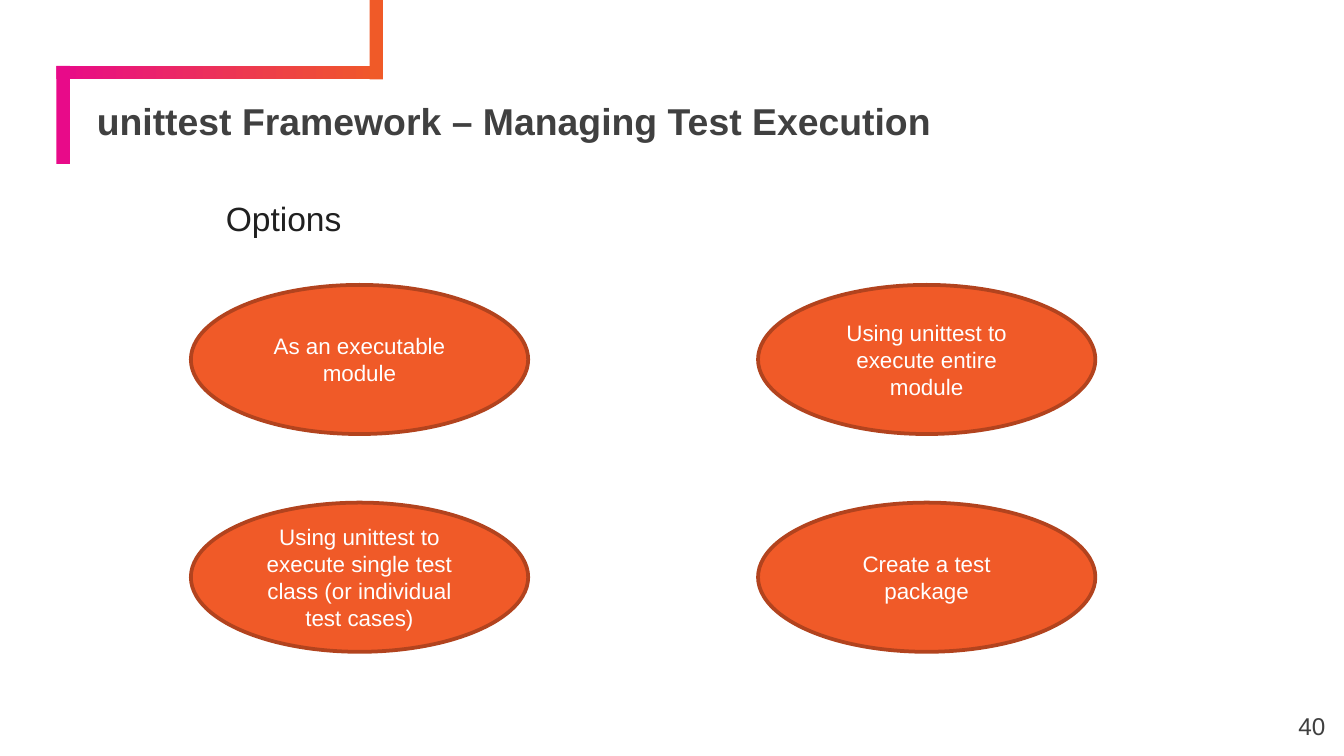
from lxml.etree import SubElement
from pptx import Presentation
from pptx.dml.color import RGBColor
from pptx.enum.shapes import MSO_SHAPE
from pptx.enum.text import MSO_ANCHOR, MSO_AUTO_SIZE, PP_ALIGN
from pptx.oxml.ns import qn
from pptx.util import Inches, Pt

CELL = 0.1  # inches per side of a square grid cell
COLUMNS, ROWS = 100, 56.25
PINK, ORANGE, RUST = "E80A89", "F05A28", "B2431E"
DARK, BLACK, WHITE = "404040", "202020", "FFFFFF"


def cells(count):
    return Inches(count * CELL)


def color(value):
    return RGBColor.from_string(value)


def apply(target, values):
    for name, value in values.items():
        setattr(target, name, value)


class SlideBuilder:
    """Holds the font and the current slide; all places are in grid cells."""

    font_name = "Arial"

    def __init__(self, page):
        self.page = page

    def place(self, shape, area):
        names = ("left", "top", "width", "height")
        apply(shape, dict(zip(names, map(cells, area))))

    def set_text(self, shape, text, size, hue, inset=1, bold=False,
                 anchor=MSO_ANCHOR.TOP, align=PP_ALIGN.LEFT, spacing=1.0, indent=0):
        frame = shape.text_frame
        frame.text = text
        apply(frame, {
            "word_wrap": True, "auto_size": MSO_AUTO_SIZE.NONE,
            "vertical_anchor": anchor,
            "margin_left": cells(inset), "margin_right": cells(inset),
            "margin_top": cells(inset), "margin_bottom": cells(inset),
        })
        para = frame.paragraphs[0]
        properties = para._p.get_or_add_pPr()
        properties.set("marL", str(cells(indent)))
        properties.set("indent", "0")
        SubElement(properties, qn("a:buNone"))
        apply(para, {"alignment": align, "line_spacing": spacing, "space_before": Pt(0)})
        font = para.runs[0].font
        apply(font, {"name": self.font_name, "size": Pt(size), "bold": bold})
        font.color.rgb = color(hue)

    def placeholder(self, index, area, text, size, hue, **style):
        box = self.page.placeholders[index]
        self.place(box, area)
        self.set_text(box, text, size, hue, **style)

    def label(self, area, text, size, hue, **style):
        box = self.page.shapes.add_textbox(*map(cells, area))
        self.set_text(box, text, size, hue, **style)

    def shape(self, kind, area, fill):
        shape = self.page.shapes.add_shape(kind, *map(cells, area))
        shape.shadow.inherit = False
        shape.fill.solid()
        shape.fill.fore_color.rgb = color(fill)
        return shape

    def bar(self, area, start, end=None):
        """Borderless bar, shaded from left to right when an end colour is given."""
        bar = self.shape(MSO_SHAPE.RECTANGLE, area, start)
        bar.line.fill.background()
        if end:
            bar.fill.gradient()
            bar.fill.gradient_angle = 0
            for stop, hue in zip(bar.fill.gradient_stops, (start, end)):
                stop.color.rgb = color(hue)

    def ellipse(self, area, text):
        ellipse = self.shape(MSO_SHAPE.OVAL, area, ORANGE)
        ellipse.line.color.rgb = color(RUST)
        ellipse.line.width = Pt(2)
        self.set_text(ellipse, text, 12, WHITE, anchor=MSO_ANCHOR.MIDDLE,
                      align=PP_ALIGN.CENTER)


def main():
    deck = Presentation()
    deck.slide_width, deck.slide_height = cells(COLUMNS), cells(ROWS)
    page = deck.slides.add_slide(deck.slide_layouts[1])
    builder = SlideBuilder(page)

    builder.bar((4.2, 4.9, 24.3, 1), PINK, ORANGE)
    builder.bar((4.2, 4.9, 1, 7.3), PINK)
    builder.bar((27.5, 0, 1, 5.9), ORANGE)

    builder.placeholder(0, (6.7, 7.8, 90.3, 3.4),
                        "unittest Framework – Managing Test Execution", 20, DARK,
                        inset=0.5, bold=True, anchor=MSO_ANCHOR.BOTTOM, spacing=0.9)
    builder.placeholder(1, (8.3, 13.7, 83.4, 34.7), "Options", 18, BLACK, indent=7.5)
    builder.label((93.6, 51.9, 6, 4.3), "40", 13, DARK, align=PP_ALIGN.RIGHT)

    options = (
        "As an executable module",
        "Using unittest to execute entire module",
        "Using unittest to execute single test class (or individual test cases)",
        "Create a test package",
    )
    for number, option in enumerate(options):
        row, column = divmod(number, 2)
        builder.ellipse((14.2 + 42.2 * column, 21.2 + 16.2 * row, 25.1, 11.1), option)

    deck.save("out.pptx")


if __name__ == "__main__":
    main()
